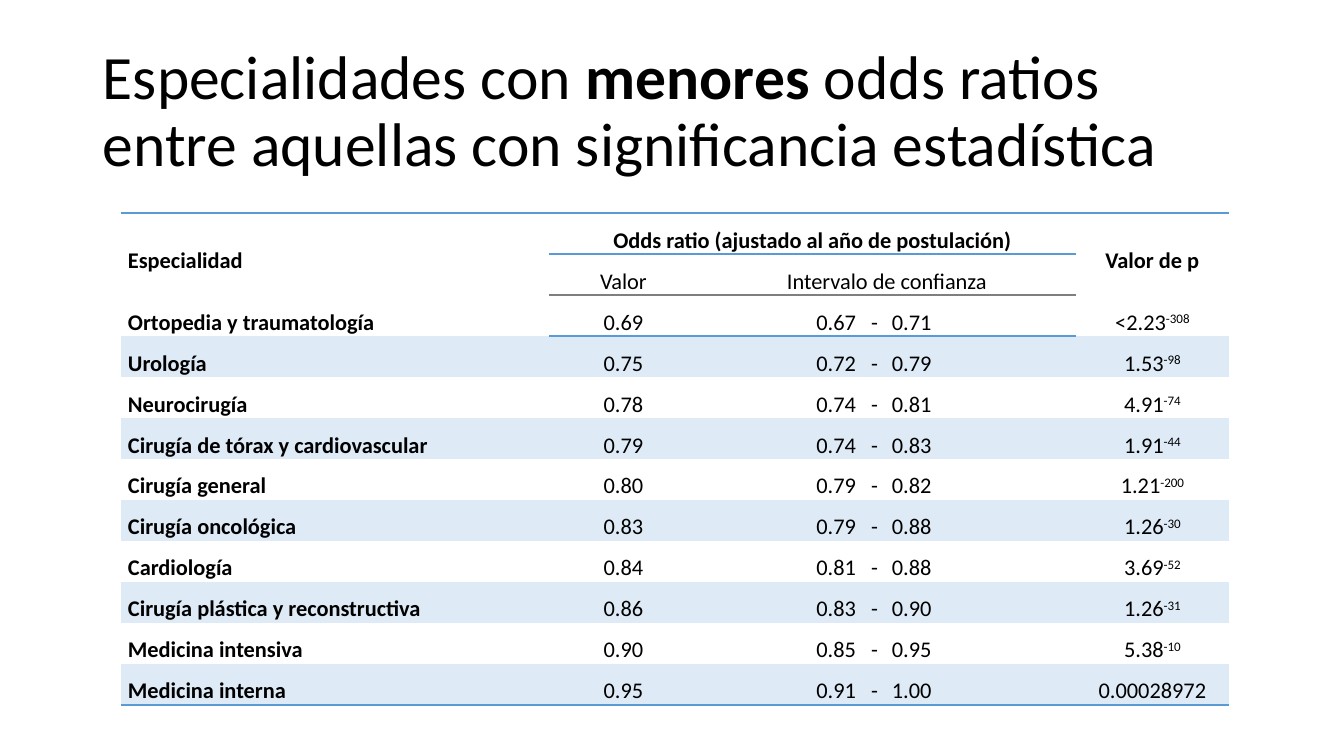
from lxml import etree
from pptx import Presentation
from pptx.dml.color import RGBColor
from pptx.enum.text import MSO_ANCHOR, PP_ALIGN
from pptx.oxml.ns import qn
from pptx.util import Pt

EMU_PER_PX = 12192000 / 1344
LEFT, CENTER, RIGHT = PP_ALIGN.LEFT, PP_ALIGN.CENTER, PP_ALIGN.RIGHT
MIDDLE = MSO_ANCHOR.MIDDLE
FONT = "Calibri"
BLACK, WHITE, BLUE, PALE_BLUE, GREY = "000000", "FFFFFF", "5B9BD5", "DEEBF7", "7F7F7F"
PLAIN_TABLE_STYLE = "{2D5ABB26-0587-4C30-8999-92F81FD0307C}"
COLUMN_WIDTHS = [428, 149, 187, 191, 153]
COLUMN_ALIGNMENTS = [LEFT, CENTER, RIGHT, LEFT, CENTER]
ROW_HEIGHT = 41
HEADER_ROWS = 2
HEADERS = [
    (0, 0, 1, 0, "Especialidad", LEFT, True),
    (0, 1, 0, 3, "Odds ratio (ajustado al año de postulación)", CENTER, True),
    (0, 4, 1, 4, "Valor de p", CENTER, True),
    (1, 1, 1, 1, "Valor", CENTER, False),
    (1, 2, 1, 3, "Intervalo de confianza", CENTER, False),
]
SPECIALTIES = [
    ("Ortopedia y traumatología", "0.69", "0.67", "0.71", "<2.23", "-308"),
    ("Urología", "0.75", "0.72", "0.79", "1.53", "-98"),
    ("Neurocirugía", "0.78", "0.74", "0.81", "4.91", "-74"),
    ("Cirugía de tórax y cardiovascular", "0.79", "0.74", "0.83", "1.91", "-44"),
    ("Cirugía general", "0.80", "0.79", "0.82", "1.21", "-200"),
    ("Cirugía oncológica", "0.83", "0.79", "0.88", "1.26", "-30"),
    ("Cardiología", "0.84", "0.81", "0.88", "3.69", "-52"),
    ("Cirugía plástica y reconstructiva", "0.86", "0.83", "0.90", "1.26", "-31"),
    ("Medicina intensiva", "0.90", "0.85", "0.95", "5.38", "-10"),
    ("Medicina interna", "0.95", "0.91", "1.00", "0.00028972", ""),
]


def px(length):
    """Turn pixels into EMU."""
    return round(length * EMU_PER_PX)


def color(hex_value):
    """Turn a hex string into a colour."""
    return RGBColor.from_string(hex_value)


def style_font(font, size):
    """Apply the slide's typeface and text colour."""
    font.name = FONT
    font.size = Pt(size)
    font.color.rgb = color(BLACK)


def add_title(slide, pieces):
    """Add the title from (text, bold) pieces."""
    box = slide.shapes.add_textbox(px(93), px(40), px(1159), px(146))
    frame = box.text_frame
    frame.word_wrap = True
    frame.vertical_anchor = MIDDLE
    paragraph = frame.paragraphs[0]
    paragraph.line_spacing = 0.9
    style_font(paragraph.font, 44)
    for text, bold in pieces:
        run = paragraph.add_run()
        run.text = text
        run.font.bold = bold


def fill_cell(cell, text, alignment, bold=False, exponent="", background=WHITE):
    """Write a cell's text, optional exponent and background."""
    cell.margin_left = cell.margin_right = px(7)
    cell.margin_top = cell.margin_bottom = 0
    cell.vertical_anchor = MIDDLE
    cell.fill.solid()
    cell.fill.fore_color.rgb = color(background)
    paragraph = cell.text_frame.paragraphs[0]
    paragraph.alignment = alignment
    paragraph.line_spacing = 1.5
    style_font(paragraph.font, 16)
    paragraph.font.bold = bold
    paragraph.add_run().text = text
    if exponent:
        power = paragraph.add_run()
        power.text = exponent
        power.font._element.set("baseline", "30000")


def add_rule(table, row, columns, side, hex_value=BLUE):
    """Draw a one-point border on one side of a row's cells."""
    for column in columns:
        properties = table.cell(row, column)._tc.get_or_add_tcPr()
        line = etree.Element(qn(f"a:{side}"), w=str(Pt(1)))
        fill = etree.SubElement(line, qn("a:solidFill"))
        etree.SubElement(fill, qn("a:srgbClr"), val=hex_value)
        position = len(properties.findall(qn("a:lnT"))) if side == "lnB" else 0
        properties.insert(position, line)


def add_odds_table(slide):
    """Add the table of odds ratios by specialty."""
    row_count = HEADER_ROWS + len(SPECIALTIES)
    frame = slide.shapes.add_table(
        row_count, len(COLUMN_WIDTHS), px(121), px(213),
        px(sum(COLUMN_WIDTHS)), px(ROW_HEIGHT * row_count))
    table = frame.table
    table._tbl.tblPr.find(qn("a:tableStyleId")).text = PLAIN_TABLE_STYLE
    table.first_row = table.horz_banding = False
    for column, width in zip(table.columns, COLUMN_WIDTHS):
        column.width = px(width)
    for top, left, bottom, right, text, alignment, bold in HEADERS:
        cell = table.cell(top, left)
        if (top, left) != (bottom, right):
            cell.merge(table.cell(bottom, right))
        fill_cell(cell, text, alignment, bold)
    for index, (name, ratio, low, high, p_value, exponent) in enumerate(SPECIALTIES):
        background = PALE_BLUE if index % 2 else WHITE
        texts = [name, ratio, f"{low}   -", high, p_value]
        for column, text in enumerate(texts):
            fill_cell(table.cell(index + HEADER_ROWS, column), text,
                      COLUMN_ALIGNMENTS[column], column == 0,
                      exponent if column == 4 else "", background)
    all_columns, ratio_columns = range(5), range(1, 4)
    add_rule(table, 0, all_columns, "lnT")
    add_rule(table, 0, ratio_columns, "lnB")
    add_rule(table, 1, all_columns, "lnB", GREY)
    add_rule(table, HEADER_ROWS, ratio_columns, "lnB")
    add_rule(table, row_count - 1, all_columns, "lnB")


def main():
    """Build and save the slide."""
    presentation = Presentation()
    presentation.slide_width = px(1344)
    presentation.slide_height = px(756)
    slide = presentation.slides.add_slide(presentation.slide_layouts[6])
    add_title(slide, [
        ("Especialidades con ", False),
        ("menores ", True),
        ("odds ratios entre aquellas con significancia estadística", False),
    ])
    add_odds_table(slide)
    presentation.save("out.pptx")


if __name__ == "__main__":
    main()
